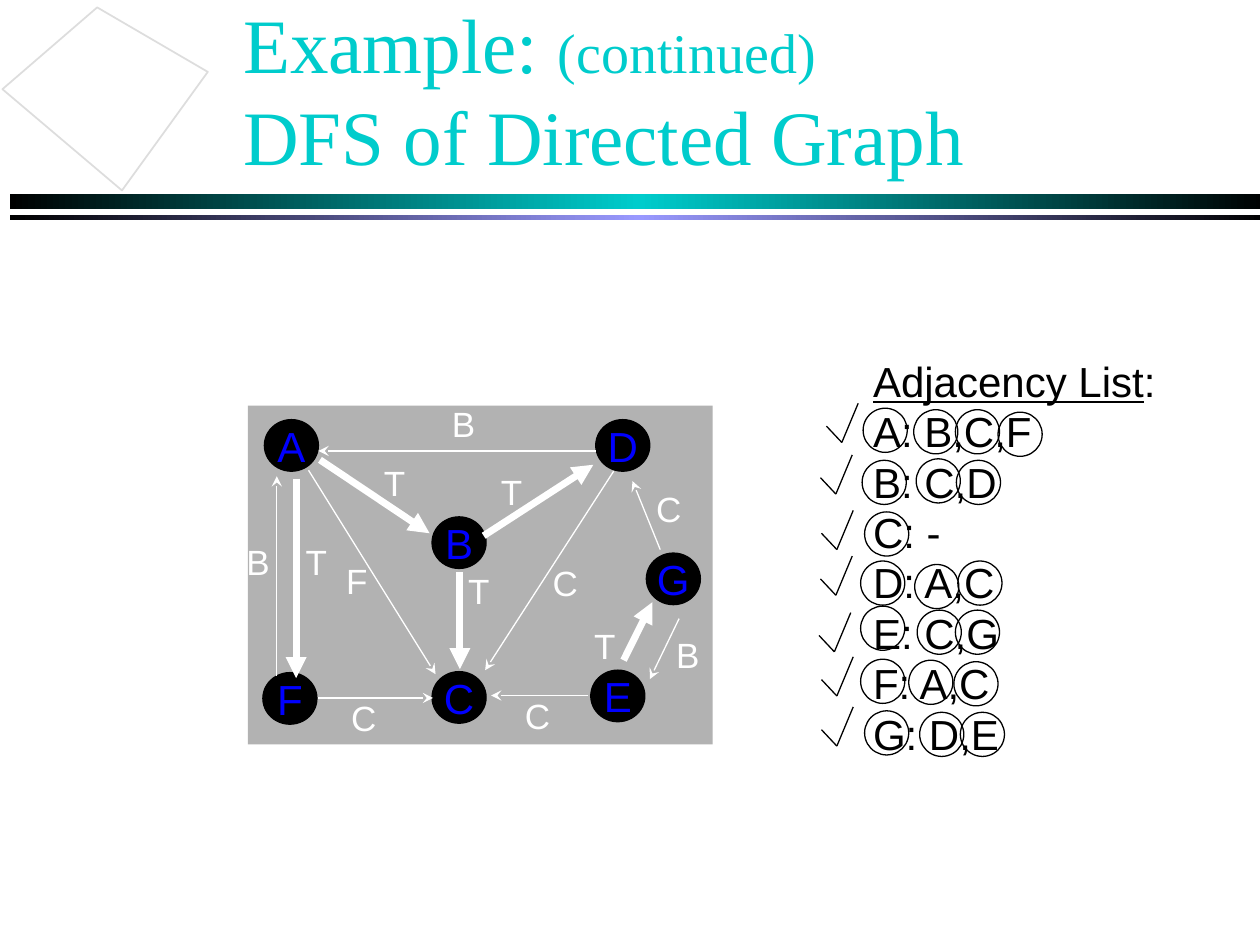
from copy import deepcopy

from lxml import etree
from pptx import Presentation
from pptx.dml.color import RGBColor
from pptx.enum.shapes import MSO_CONNECTOR, MSO_SHAPE
from pptx.enum.text import MSO_ANCHOR, MSO_AUTO_SIZE, PP_ALIGN
from pptx.oxml.ns import qn
from pptx.util import Cm, Pt

STRAIGHT = MSO_CONNECTOR.STRAIGHT
RECTANGLE, OVAL = MSO_SHAPE.RECTANGLE, MSO_SHAPE.OVAL
MIDDLE, TOP = MSO_ANCHOR.MIDDLE, MSO_ANCHOR.TOP
LEFT, CENTER = PP_ALIGN.LEFT, PP_ALIGN.CENTER
NO_AUTOFIT = MSO_AUTO_SIZE.NONE

COLORS = {
    "black": "000000", "white": "FFFFFF", "teal": "00CCCC", "violet": "9999FF",
    "panel": "B2B2B2", "outline": "DDDDDD", "node_text": "0000FF",
}

NODE_SIZE = (1.09, 1.04)
NODES = {
    "A": (0.33, 0.28), "B": (3.71, 2.24), "C": (3.71, 5.36), "D": (7.01, 0.28),
    "E": (6.91, 5.33), "F": (0.3, 5.38), "G": (8.03, 2.97),
}
LABEL_SIZE = (1.22, 1.12)
EDGES = [
    ("B", (0.58, 5.44), (0.58, 1.42), (-0.28, 2.59)),
    ("T", (0.97, 1.47), (0.97, 5.49), (0.91, 2.59)),
    ("B", (7.01, 0.91), (1.42, 0.91), (3.86, -0.2)),
    ("C", (7.37, 1.32), (4.78, 5.33), (5.89, 3.02)),
    ("C", (1.42, 5.89), (3.73, 5.89), (1.83, 5.74)),
    ("C", (6.86, 5.84), (4.9, 5.84), (5.33, 5.69)),
    ("T", (4.75, 2.62), (6.96, 1.19), (4.85, 1.19)),
    ("F", (1.22, 1.3), (3.78, 5.41), (1.73, 2.97)),
    ("T", (1.45, 1.09), (3.66, 2.57), (2.49, 0.99)),
    ("T", (4.27, 3.35), (4.27, 5.31), (4.19, 3.18)),
    ("T", (7.57, 5.13), (8.15, 3.96), (6.73, 4.29)),
    ("C", (8.31, 2.9), (7.75, 1.52), (7.98, 1.52)),
    ("B", (8.69, 4.29), (8.1, 5.51), (8.38, 4.47)),
]

CIRCLE_SIZE = 0.89
ADJACENCY = [
    ("A: B,C,F", (-0.69, 1.09), [(0.05, 1.19), (1.07, 1.22), (1.91, 1.22), (2.77, 1.27)]),
    ("B: C,D", (-0.81, 2.13), [(0.03, 2.24), (1.12, 2.21), (1.93, 2.24)]),
    ("C: -", (-0.79, 3.25), [(0.08, 3.28)]),
    ("D: A,C", (-0.81, 4.17), [(0, 4.27), (1.09, 4.34), (1.96, 4.27)]),
    ("E: C,G", (-0.84, 5.31), [(0, 5.18), (1.14, 5.26), (1.91, 5.26)]),
    ("F: A,C", (-0.79, 6.2), [(0, 6.25), (0.97, 6.27), (1.88, 6.3)]),
    ("G: D,E", (-0.79, 7.21), [(0.08, 7.29), (1.19, 7.32), (2.01, 7.32)]),
]


def rgb(name):
    return RGBColor.from_string(COLORS[name])


def format_font(font, size, color, name="Arial"):
    font.name = name
    font.size = Pt(size)
    font.color.rgb = rgb(color)


def add_shape(slide, kind, left, top, width, height, fill=None, line=None):
    shape = slide.shapes.add_shape(kind, Cm(left), Cm(top), Cm(width), Cm(height))
    shape.shadow.inherit = False
    if fill:
        shape.fill.solid()
        shape.fill.fore_color.rgb = rgb(fill)
    else:
        shape.fill.background()
    if line:
        shape.line.color.rgb = rgb(line)
        shape.line.width = Pt(0.75)
    else:
        shape.line.fill.background()
    return shape


def add_line(slide, left, top, start, end, color, width=0.75, arrow=None):
    connector = slide.shapes.add_connector(
        STRAIGHT, Cm(left + start[0]), Cm(top + start[1]), Cm(left + end[0]), Cm(top + end[1]))
    connector.line.color.rgb = rgb(color)
    connector.line.width = Pt(width)
    properties = connector.element.spPr
    if arrow:
        etree.SubElement(properties.find(qn("a:ln")), qn("a:tailEnd"), type=arrow)
    etree.SubElement(properties, qn("a:effectLst"))


def add_gradient_bar(slide, left, top, width, height, middle):
    bar = add_shape(slide, RECTANGLE, left, top, width, height)
    bar.fill.gradient()
    bar.fill.gradient_angle = 0
    stop_list = bar.element.spPr.find(qn("a:gradFill")).find(qn("a:gsLst"))
    stop_list.append(deepcopy(stop_list[0]))
    for index, color in enumerate(("black", middle, "black")):
        stop = bar.fill.gradient_stops[index]
        stop.position = index / 2
        stop.color.rgb = rgb(color)


def add_kite(slide, left, top):
    points = [(2.41, 3.69), (0, 1.65), (1.91, 0), (4.14, 1.3)]
    corners = [(Cm(left + x), Cm(top + y)) for x, y in points]
    builder = slide.shapes.build_freeform(*corners[0])
    builder.add_line_segments(corners[1:], close=True)
    kite = builder.convert_to_shape()
    kite.shadow.inherit = False
    kite.fill.solid()
    kite.fill.fore_color.rgb = rgb("white")
    kite.line.color.rgb = rgb("outline")
    kite.line.width = Pt(1)


def add_text_shadow(run):
    effects = etree.Element(qn("a:effectLst"))
    shadow = etree.SubElement(
        effects, qn("a:outerShdw"), dist=str(Pt(2)), dir="2700000", algn="ctr", rotWithShape="0")
    etree.SubElement(shadow, qn("a:srgbClr"), val=COLORS["black"])
    run.font.fill._xPr.find(qn("a:solidFill")).addnext(effects)


def fill_title(title, left, top, width, height):
    title.left, title.top, title.width, title.height = map(Cm, (left, top, width, height))
    frame = title.text_frame
    frame.auto_size = NO_AUTOFIT
    frame.vertical_anchor = MIDDLE
    paragraph = frame.paragraphs[0]
    paragraph.alignment = LEFT
    for text, size in (("Example: ", 44), ("(continued)", 32), (None, 0), ("DFS of Directed Graph", 44)):
        if text is None:
            paragraph.add_line_break()
            continue
        run = paragraph.add_run()
        run.text = text
        format_font(run.font, size, "teal", "Times New Roman")
        add_text_shadow(run)


def add_graph(slide, left, top, width, height):
    add_shape(slide, RECTANGLE, left, top, width, height, "panel")
    for name, (x, y) in NODES.items():
        node = add_shape(slide, OVAL, left + x, top + y, *NODE_SIZE, "black", "black")
        frame = node.text_frame
        frame.word_wrap = False
        frame.vertical_anchor = MIDDLE
        frame.text = name
        frame.paragraphs[0].alignment = CENTER
        format_font(frame.paragraphs[0].runs[0].font, 24, "node_text")
    for kind, start, end, (x, y) in EDGES:
        line_width, arrow = (4, "triangle") if kind == "T" else (0.75, "stealth")
        add_line(slide, left, top, start, end, "white", line_width, arrow)
        label = slide.shapes.add_textbox(Cm(left + x), Cm(top + y), *map(Cm, LABEL_SIZE))
        label.text_frame.word_wrap = True
        label.text_frame.text = kind
        format_font(label.text_frame.paragraphs[0].runs[0].font, 20, "white")


def add_adjacency_list(slide, left, top, width, height):
    box = slide.shapes.add_textbox(Cm(left), Cm(top), Cm(width), Cm(height))
    frame = box.text_frame
    frame.word_wrap = False
    frame.vertical_anchor = TOP
    heading = frame.paragraphs[0]
    for text, underlined in (("Adjacency List", True), (":", False)):
        run = heading.add_run()
        run.text = text
        format_font(run.font, 24, "black")
        run.font.underline = underlined
    for text, (tick_x, tick_y), circles in ADJACENCY:
        paragraph = frame.add_paragraph()
        paragraph.text = text
        format_font(paragraph.runs[0].font, 24, "black")
        for x, y in circles:
            add_shape(slide, OVAL, left + x, top + y, CIRCLE_SIZE, CIRCLE_SIZE, line="black")
        for start, end in (((0, 0.46), (0.31, 0.79)), ((0.31, 0.79), (0.64, 0))):
            add_line(slide, left + tick_x, top + tick_y, start, end, "black")


def main():
    presentation = Presentation()
    presentation.slide_width, presentation.slide_height = Cm(25.4), Cm(19.05)
    slide = presentation.slides.add_slide(presentation.slide_layouts[5])
    add_gradient_bar(slide, 0.2, 3.91, 25.37, 0.3, "teal")
    add_gradient_bar(slide, 0.2, 4.34, 25.37, 0.1, "violet")
    add_kite(slide, 0.05, 0.15)
    fill_title(slide.shapes.title, 4.65, 0.2, 21.59, 3.18)
    add_graph(slide, 5, 8.18, 9.37, 6.83)
    add_adjacency_list(slide, 17.35, 7.04, 6.2, 8.38)
    presentation.save("out.pptx")


if __name__ == "__main__":
    main()
